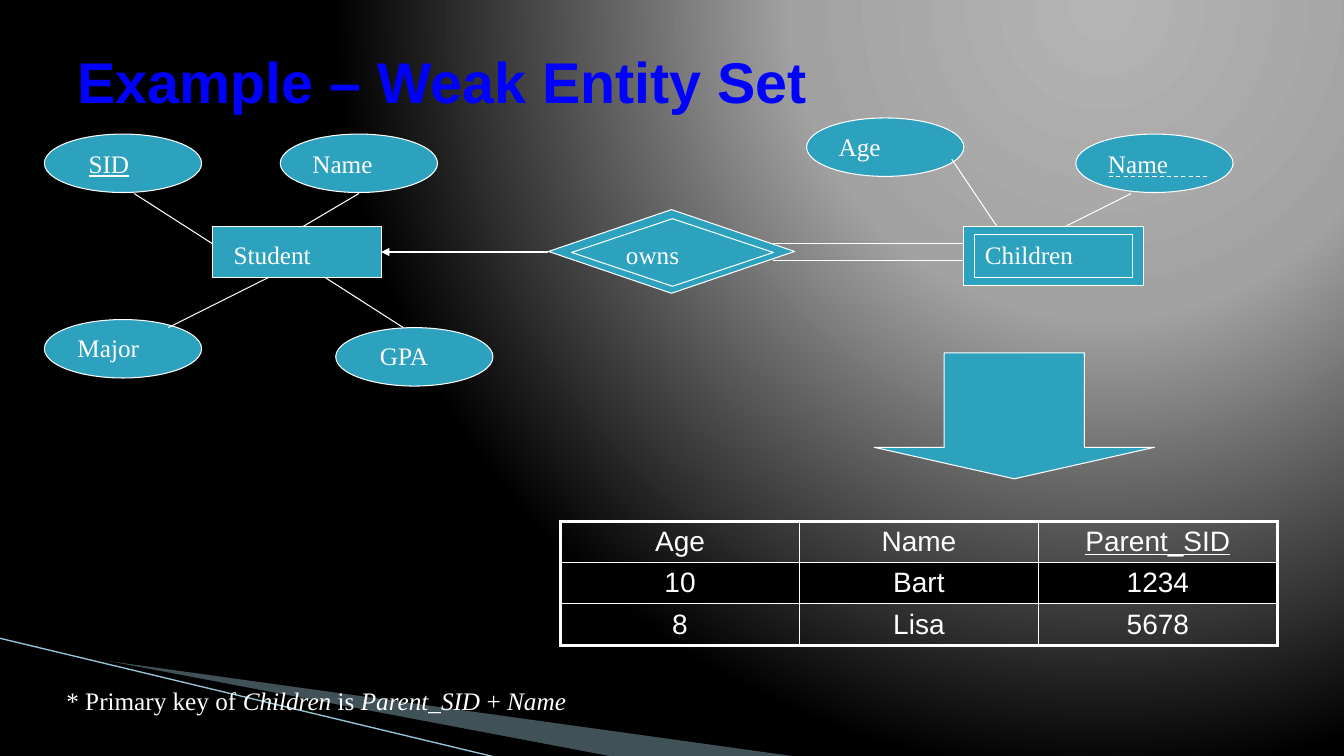
from dataclasses import dataclass
from lxml.etree import SubElement
from pptx import Presentation
from pptx.dml.color import RGBColor
from pptx.enum.dml import MSO_LINE
from pptx.enum.shapes import MSO_CONNECTOR, MSO_SHAPE
from pptx.enum.text import MSO_ANCHOR, PP_ALIGN
from pptx.oxml import parse_xml
from pptx.oxml.ns import nsdecls, qn
from pptx.util import Inches, Pt


@dataclass(frozen=True)
class Theme:
    teal: str = "2DA2BF"
    white: str = "FFFFFF"
    black: str = "000000"
    blue: str = "0000FF"
    wedge: str = "A0CBDC"
    streak: str = "97C5D8"
    sans: str = "Arial"
    serif: str = "Times New Roman"
    title: int = 41
    cell: int = 20
    label: int = 18
    thin: float = 0.75
    inner: float = 1
    outer: float = 2.25


T = Theme()
BACKGROUND = [(0, "B4B4B4"), (40, "A2A2A2"), (100, T.black)]
TITLE = "Example – Weak Entity Set"
OVAL_SIZE = (1.56, 0.58)
ATTRIBUTES = [(0.44, 1.33), (2.78, 1.33), (0.44, 3.17), (3.33, 3.25), (8, 1.17), (10.67, 1.33)]
OUTER_SHAPES = [
    (MSO_SHAPE.RECTANGLE, (2.11, 2.25, 1.67, 0.5)),
    (MSO_SHAPE.FLOWCHART_DECISION, (5.44, 2.08, 2.44, 0.83)),
    (MSO_SHAPE.RECTANGLE, (9.56, 2.25, 1.78, 0.58)),
    (MSO_SHAPE.DOWN_ARROW, (8.67, 3.5, 2.78, 1.25)),
]
INNER_SHAPES = [
    (MSO_SHAPE.FLOWCHART_DECISION, (5.67, 2.17, 2, 0.67)),
    (MSO_SHAPE.RECTANGLE, (9.67, 2.33, 1.56, 0.42)),
]
LINKS = [
    (1.33, 1.92, 2.11, 2.42), (3.56, 1.92, 3, 2.25),
    (4, 3.25, 3.22, 2.75), (1.67, 3.25, 2.67, 2.75),
    (9.44, 1.58, 9.89, 2.25), (11.22, 1.92, 10.56, 2.25),
    (7.67, 2.42, 9.56, 2.42), (7.67, 2.58, 9.56, 2.58),
]
ARROW = (5.44, 2.5, 3.78, 2.5)
PARTIAL_KEY = (11, 1.75, 12, 1.75)
LABELS = [
    ("SID", 0.78, 1.42, 1.11), ("Name", 3, 1.42, 1.22),
    ("Major", 0.67, 3.25, 1.11), ("GPA", 3.67, 3.33, 1),
    ("Age", 8.22, 1.25, 1.11), ("Name", 10.89, 1.42, 1.22),
    ("Student", 2.22, 2.33, 1.44), ("owns", 6.11, 2.33, 1.11),
    ("Children", 9.67, 2.33, 1.78),
]
KEYS = {"SID", "Parent_SID"}
ROWS = [("Age", "Name", "Parent_SID"), ("10", "Bart", "1234"), ("8", "Lisa", "5678")]
TABLE_AT = (5.56, 5.17)
COL_W, ROW_H = 2.37, 0.41
NOTE = [("* Primary key of ", False), ("Children", True), (" is ", False),
        ("Parent_SID", True), (" + ", False), ("Name", True)]
WEDGES = [
    (T.wedge, 40, [(73, 651), (793, 751), (608, 751), (73, 650)]),
    (T.black, 100, [(71, 649), (609, 751), (496, 752), (72, 650)]),
]
STREAK = (-0.01, 6.33, 4.95, 7.52)


def rgb(value):
    return RGBColor.from_string(value)


def style_run(r, size, font, color, bold=False, italic=False, underline=False):
    f = r.font
    f.size, f.name, f.bold, f.italic, f.underline = Pt(size), font, bold, italic, underline
    f.color.rgb = rgb(color)


def add_text(s, box, anchor=MSO_ANCHOR.TOP):
    tf = s.shapes.add_textbox(*map(Inches, box)).text_frame
    tf.word_wrap = True
    tf.vertical_anchor = anchor
    return tf.paragraphs[0]


def add_figure(s, kind, box):
    sp = s.shapes.add_shape(kind, *map(Inches, box))
    sp.shadow.inherit = False
    sp.fill.solid()
    sp.fill.fore_color.rgb = rgb(T.teal)
    sp.line.color.rgb = rgb(T.white)
    sp.line.width = Pt(T.thin)
    return sp


def add_line(s, ends, color=T.white, width=T.thin):
    line = s.shapes.add_connector(MSO_CONNECTOR.STRAIGHT, *map(Inches, ends))
    line.line.color.rgb = rgb(color)
    line.line.width = Pt(width)
    SubElement(line.element.spPr, qn("a:effectLst"))
    return line


def set_background(s):
    s.background.fill.solid()
    bg = s.element.find(".//" + qn("p:bgPr"))
    stops = "".join(f'<a:gs pos="{pos * 1000}"><a:srgbClr val="{color}"/></a:gs>'
                    for pos, color in BACKGROUND)
    bg.replace(bg[0], parse_xml(
        f'<a:gradFill {nsdecls("a")} rotWithShape="1"><a:gsLst>{stops}</a:gsLst>'
        '<a:path path="circle"><a:fillToRect l="65000" b="98000"/></a:path></a:gradFill>'))


def add_decor(s):
    for color, opacity, points in WEDGES:
        builder = s.shapes.build_freeform(*points[0], scale=Inches(0.01))
        builder.add_line_segments(points[1:], close=True)
        sp = builder.convert_to_shape()
        sp.shadow.inherit = False
        sp.fill.solid()
        sp.fill.fore_color.rgb = rgb(color)
        sp.line.fill.background()
        if opacity < 100:
            fill = sp.element.spPr.find(qn("a:solidFill"))
            SubElement(fill[0], qn("a:alpha"), val=str(opacity * 1000))
    add_line(s, STREAK, T.streak, 0.95)


def set_borders(cell, edges):
    for side, outer in edges.items():
        width = Pt(T.outer if outer else T.inner)
        ln = SubElement(cell._tc.get_or_add_tcPr(), qn(f"a:ln{side}"), w=str(width))
        SubElement(SubElement(ln, qn("a:solidFill")), qn("a:srgbClr"), val=T.white)


def add_children_table(s):
    n_rows, n_cols = len(ROWS), len(ROWS[0])
    box = (*TABLE_AT, COL_W * n_cols, ROW_H * n_rows)
    table = s.shapes.add_table(n_rows, n_cols, *map(Inches, box)).table
    table.first_row = table.horz_banding = False
    for col in table.columns:
        col.width = Inches(COL_W)
    for i, values in enumerate(ROWS):
        table.rows[i].height = Inches(ROW_H)
        for j, value in enumerate(values):
            cell = table.cell(i, j)
            cell.margin_left = cell.margin_right = Inches(0.13)
            set_borders(cell, {"L": j == 0, "R": j == n_cols - 1,
                               "T": i == 0, "B": i == n_rows - 1})
            if i == 1:
                cell.fill.solid()
                cell.fill.fore_color.rgb = rgb(T.black)
            else:
                cell.fill.background()
            p = cell.text_frame.paragraphs[0]
            p.text = value
            p.alignment = PP_ALIGN.CENTER
            style_run(p.runs[0], T.cell, T.sans, T.white, underline=value in KEYS)


def main():
    prs = Presentation()
    prs.slide_width, prs.slide_height = Inches(13.33), Inches(7.5)
    s = prs.slides.add_slide(prs.slide_layouts[6])
    set_background(s)
    add_decor(s)
    add_children_table(s)

    p = add_text(s, (0.67, 0.17, 12, 1.25), MSO_ANCHOR.MIDDLE)
    p.text = TITLE
    style_run(p.runs[0], T.title, T.sans, T.blue, bold=True)

    for spot in ATTRIBUTES:
        add_figure(s, MSO_SHAPE.OVAL, spot + OVAL_SIZE)
    for kind, box in OUTER_SHAPES:
        sp = add_figure(s, kind, box)
        if kind == MSO_SHAPE.DOWN_ARROW:
            sp.adjustments[0], sp.adjustments[1] = 0.5, 0.25
    for ends in LINKS:
        add_line(s, ends)
    add_line(s, PARTIAL_KEY).line.dash_style = MSO_LINE.DASH
    arrow = add_line(s, ARROW)
    SubElement(arrow.line._get_or_add_ln(), qn("a:tailEnd"), type="triangle")
    for kind, box in INNER_SHAPES:
        add_figure(s, kind, box)

    for text, x, y, w in LABELS:
        p = add_text(s, (x, y, w, 0.4))
        p.text = text
        style_run(p.runs[0], T.label, T.serif, T.white, underline=text in KEYS)
    p = add_text(s, (0.56, 6.75, 12.11, 0.4))
    for text, italic in NOTE:
        r = p.add_run()
        r.text = text
        style_run(r, T.label, T.serif, T.white, italic=italic)
    prs.save("out.pptx")


if __name__ == "__main__":
    main()
